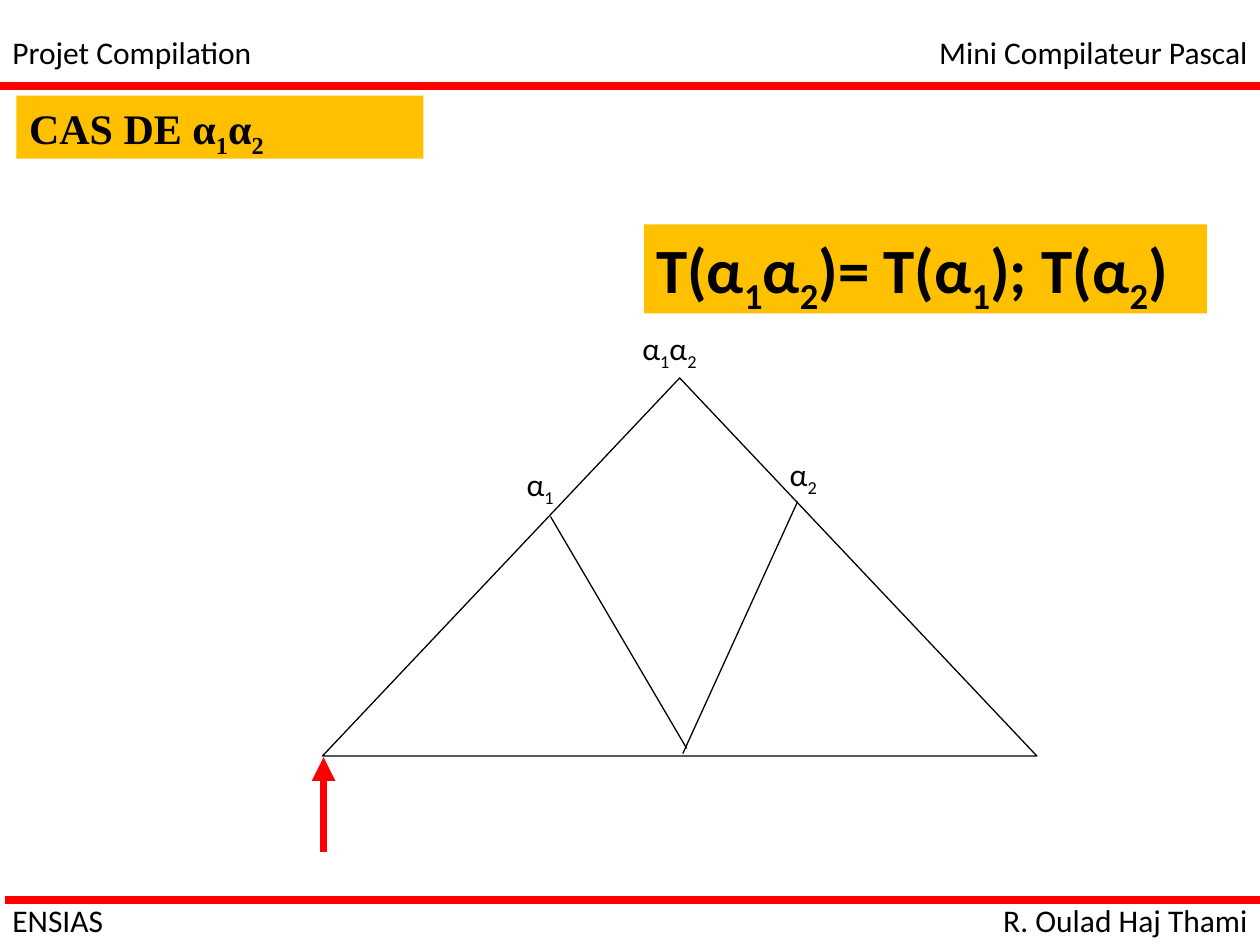
from dataclasses import dataclass

from lxml.etree import SubElement
from pptx import Presentation
from pptx.dml.color import RGBColor
from pptx.enum.shapes import MSO_CONNECTOR, MSO_SHAPE
from pptx.enum.text import MSO_ANCHOR, MSO_AUTO_SIZE, PP_ALIGN
from pptx.oxml.ns import qn
from pptx.util import Pt

BLACK = RGBColor(0x00, 0x00, 0x00)
RED = RGBColor(0xFF, 0x00, 0x00)
AMBER = RGBColor(0xFF, 0xC0, 0x00)
SLIDE_W, SLIDE_H = 720, 540


@dataclass
class Label:
    """Runs alternate between normal text and subscripts."""
    x: float
    y: float
    w: float
    h: float
    runs: tuple[str, ...]
    size: float = 18
    font: str = "Calibri"
    bold: bool = False
    align: PP_ALIGN = PP_ALIGN.LEFT


@dataclass
class Line:
    x1: float
    y1: float
    x2: float
    y2: float
    color: RGBColor = BLACK
    width: float = 0.75
    arrow: bool = False


HEADER_Y, FOOTER_Y = 15.1, 511.2
CORNERS = [
    Label(0, HEADER_Y, 200, 28.8, ("Projet Compilation",)),
    Label(SLIDE_W - 240, HEADER_Y, 240, 28.8, ("Mini Compilateur Pascal",), align=PP_ALIGN.RIGHT),
    Label(0, FOOTER_Y, 200, 28.8, ("ENSIAS",)),
    Label(SLIDE_W - 240, FOOTER_Y, 240, 28.8, ("R. Oulad Haj Thami",), align=PP_ALIGN.RIGHT),
]
NODES = [
    Label(360, 184.3, 60.5, 36, ("α", "1", "α", "2")),
    Label(293.8, 262.1, 37.4, 36, ("α", "1")),
    Label(444.2, 256.3, 37.4, 36, ("α", "2")),
]
TITLE = Label(9.4, 54.7, 232.6, 36, ("CAS DE α", "1", "α", "2"), 24, "Times New Roman", True)
RULE = Label(367.9, 128.2, 321.8, 50.9,
             ("T(α", "1", "α", "2", ")= T(α", "1", "); T(α", "2", ")"), 36, bold=True)
LINES = [
    Line(0, 49, SLIDE_W, 49, RED, 4.5),
    Line(2.9, 514.1, SLIDE_W, 514.1, RED, 4.5),
    Line(314.6, 295.2, 392.4, 427.7),
    Line(390.2, 430.6, 455.8, 286.6),
    Line(184.9, 486.7, 184.9, 432.7, RED, 4.5, True),
]


def write(sp, label: Label) -> None:
    tf = sp.text_frame
    tf.word_wrap = False
    tf.auto_size = MSO_AUTO_SIZE.NONE
    tf.vertical_anchor = MSO_ANCHOR.TOP
    p = tf.paragraphs[0]
    p.alignment = label.align
    for i, text in enumerate(label.runs):
        r = p.add_run()
        r.text = text
        r.font.size = Pt(label.size)
        r.font.name = label.font
        r.font.bold = label.bold
        r.font.color.rgb = BLACK
        if i % 2:
            r._r.get_or_add_rPr().set("baseline", "-25000")


def add_label(s, label: Label) -> None:
    sp = s.shapes.add_textbox(Pt(label.x), Pt(label.y), Pt(label.w), Pt(label.h))
    write(sp, label)


def add_line(s, line: Line) -> None:
    c = s.shapes.add_connector(MSO_CONNECTOR.STRAIGHT, Pt(line.x1), Pt(line.y1),
                               Pt(line.x2), Pt(line.y2))
    c.line.color.rgb = line.color
    c.line.width = Pt(line.width)
    sp_pr = c._element.spPr
    if line.arrow:
        SubElement(sp_pr.find(qn("a:ln")), qn("a:tailEnd"), type="triangle")
    SubElement(sp_pr, qn("a:effectLst"))


def fill_title(s, label: Label) -> None:
    sp = s.shapes.title
    sp.left, sp.top, sp.width, sp.height = map(Pt, (label.x, label.y, label.w, label.h))
    sp.fill.solid()
    sp.fill.fore_color.rgb = AMBER
    write(sp, label)


def add_band(s, label: Label) -> None:
    sp = s.shapes.add_shape(MSO_SHAPE.RECTANGLE, Pt(label.x), Pt(label.y),
                            Pt(label.w), Pt(label.h))
    sp.shadow.inherit = False
    sp.fill.solid()
    sp.fill.fore_color.rgb = AMBER
    sp.line.fill.background()
    write(sp, label)


def add_tree(s) -> None:
    sp = s.shapes.add_shape(MSO_SHAPE.ISOSCELES_TRIANGLE, Pt(184.3), Pt(216), Pt(408.2), Pt(216))
    sp.shadow.inherit = False
    sp.fill.background()
    sp.line.color.rgb = BLACK
    sp.line.width = Pt(0.75)


def main() -> None:
    prs = Presentation()
    prs.slide_width, prs.slide_height = Pt(SLIDE_W), Pt(SLIDE_H)
    s = prs.slides.add_slide(prs.slide_layouts[5])
    fill_title(s, TITLE)
    add_tree(s)
    for line in LINES:
        add_line(s, line)
    for label in CORNERS + NODES:
        add_label(s, label)
    add_band(s, RULE)
    prs.save("out.pptx")


if __name__ == "__main__":
    main()
